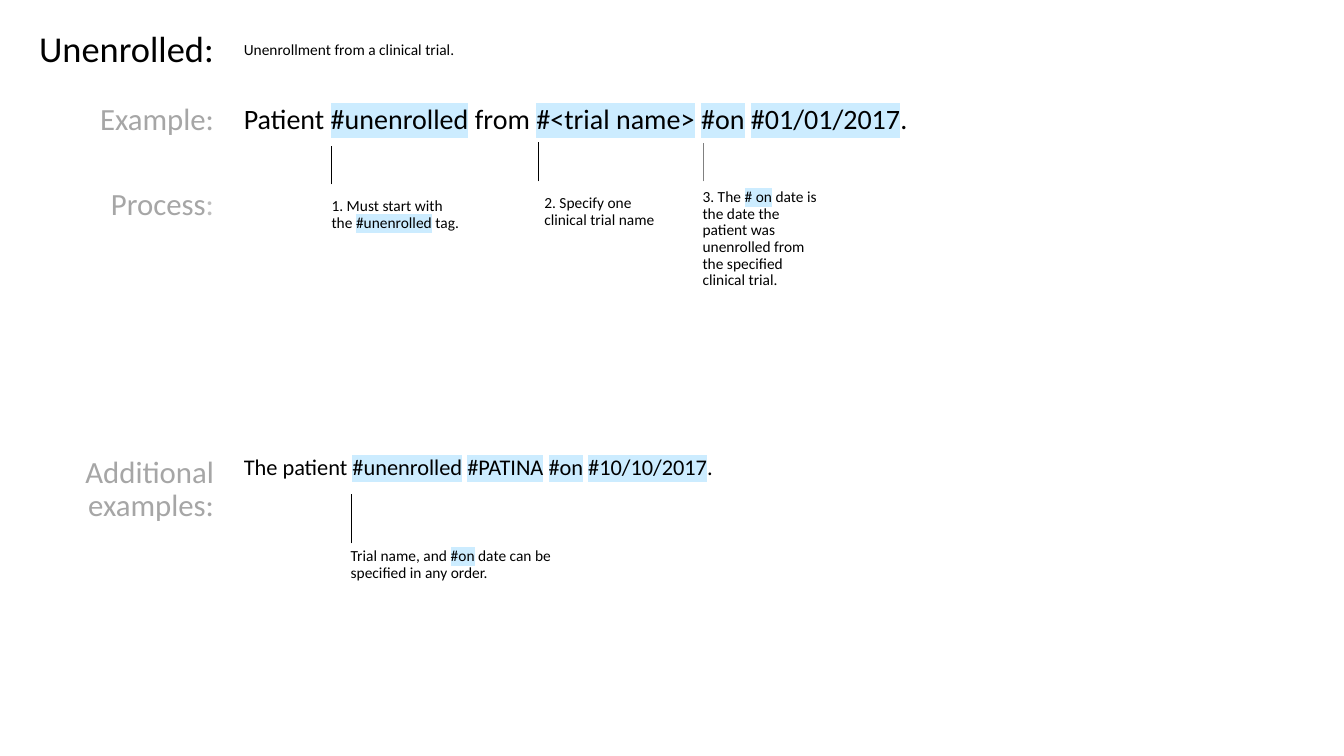
import pptx
import pptx.dml.color
import pptx.enum.shapes
import pptx.enum.text
import pptx.oxml
import pptx.oxml.ns
import pptx.util
from pptx.util import Inches

RGBColor = pptx.dml.color.RGBColor
BLACK = RGBColor(0x00, 0x00, 0x00)
LINE_GRAY = RGBColor(0x80, 0x80, 0x80)
LABEL_GRAY = RGBColor(0xA6, 0xA6, 0xA6)
COLON_GRAY = RGBColor(0xBF, 0xBF, 0xBF)
TAG_BLUE = RGBColor(0xCC, 0xEC, 0xFF)

ALIGN = pptx.enum.text.PP_ALIGN
ANCHOR = pptx.enum.text.MSO_ANCHOR
LABEL_RIGHT = 2.22
CONTENT_LEFT = 2.32
NOTE_SIZE = 11


class SlideBuilder:
    font_name = "Calibri"
    line_spacing = 0.9
    space_before = pptx.util.Pt(10)
    line_width = pptx.util.Pt(0.5)

    def __init__(self, slide):
        self.slide = slide

    def text(self, content, left, top, width, height, size, color=BLACK,
             align=ALIGN.LEFT, anchor=ANCHOR.TOP):
        shape = self.slide.shapes.add_textbox(
            Inches(left), Inches(top), Inches(width), Inches(height))
        frame = shape.text_frame
        frame.word_wrap = True
        frame.vertical_anchor = anchor
        paragraph = frame.paragraphs[0]
        paragraph.alignment = align
        paragraph.line_spacing = self.line_spacing
        paragraph.space_before = self.space_before
        for index, piece in enumerate(content.split("|")):
            run = paragraph.add_run()
            run.text = piece
            run.font.name = self.font_name
            run.font.size = pptx.util.Pt(size)
            run.font.color.rgb = color
            if index % 2:
                self.highlight(run)
        return paragraph

    def highlight(self, run):
        namespace = pptx.oxml.ns.nsdecls("a")
        element = pptx.oxml.parse_xml(
            f'<a:highlight {namespace}><a:srgbClr val="{TAG_BLUE}"/></a:highlight>')
        run.font._element.find(pptx.oxml.ns.qn("a:solidFill")).addnext(element)

    def label(self, content, top, width, height):
        return self.text(content, LABEL_RIGHT - width, top, width, height, 22,
                         LABEL_GRAY, ALIGN.RIGHT)

    def pointer(self, x, top, bottom, color=BLACK):
        connector = self.slide.shapes.add_connector(
            pptx.enum.shapes.MSO_CONNECTOR.STRAIGHT,
            Inches(x), Inches(bottom), Inches(x), Inches(top))
        connector.line.color.rgb = color
        connector.line.width = self.line_width
        connector._element.spPr.append(pptx.oxml.parse_xml(
            f'<a:effectLst {pptx.oxml.ns.nsdecls("a")}/>'))


presentation = pptx.Presentation()
presentation.slide_width = Inches(13.33)
presentation.slide_height = Inches(7.5)
slide = presentation.slides.add_slide(presentation.slide_layouts[6])
builder = SlideBuilder(slide)

builder.text("Unenrolled:", 0.29, 0.22, 2.03, 0.57, 26, anchor=ANCHOR.MIDDLE)
builder.text("Unenrollment from a clinical trial.", CONTENT_LEFT, 0.22, 9.83, 0.57,
             NOTE_SIZE, anchor=ANCHOR.MIDDLE)

builder.text("Patient |#unenrolled| from |#<trial name>| |#on| |#01/01/2017|.",
             CONTENT_LEFT, 1, 10.66, 0.58, 20)
builder.text("The patient |#unenrolled| |#PATINA| |#on| |#10/10/2017|.",
             CONTENT_LEFT, 4.48, 8.13, 1.07, 16)

notes = [
    ("1. Must start with the |#unenrolled| tag.", 3.19, 1.92, 1.53, 0.57),
    ("2. Specify one clinical trial name", 5.3, 1.89, 1.4, 0.53),
    ("3. The |# on| date is the date the patient was unenrolled from "
     "the specified clinical trial.", 6.87, 1.83, 1.4, 2),
    ("Trial name, and |#on| date can be specified in any order.",
     3.38, 5.39, 2.24, 0.79),
]
for content, left, top, width, height in notes:
    builder.text(content, left, top, width, height, NOTE_SIZE)

builder.pointer(3.29, 1.45, 1.83)
builder.pointer(5.34, 1.41, 1.8)
builder.pointer(6.98, 1.42, 1.8, LINE_GRAY)
builder.pointer(3.48, 4.9, 5.39)

builder.label("Example:", 0.98, 1.34, 0.47)
process_label = builder.label("Process", 1.83, 1.26, 0.57)
colon = process_label.add_run()
colon.text = ":"
colon.font.name = builder.font_name
colon.font.size = process_label.runs[0].font.size
colon.font.color.rgb = COLON_GRAY
builder.label("Additional examples:", 4.48, 1.5, 0.85)

presentation.save("out.pptx")
